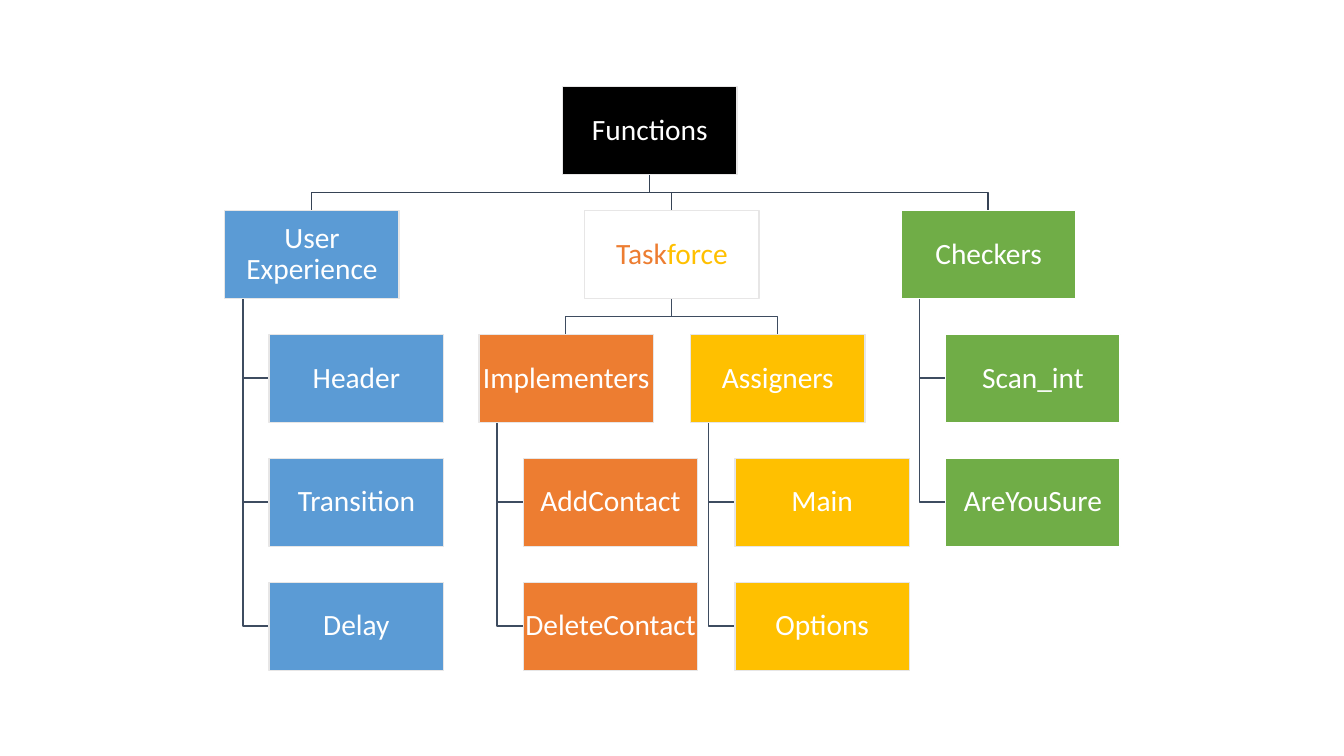
from dataclasses import dataclass, field

from pptx import Presentation
from pptx.dml.color import RGBColor
from pptx.enum.shapes import MSO_SHAPE
from pptx.enum.text import MSO_ANCHOR, PP_ALIGN
from pptx.util import Pt

EMU_PER_PX = 9144
BOX_WIDTH, BOX_HEIGHT = 173, 87
TOP, ROW_STEP = 86, 123
STEM_INSET, CHILD_INDENT = 18, 44

COLORS = {
    "black": "000000",
    "white": "FFFFFF",
    "border": "E7E6E6",
    "blue": "5B9BD5",
    "orange": "ED7D31",
    "gold": "FFC000",
    "green": "70AD47",
    "main_link": "364355",
    "link": "3E4C60",
}


@dataclass
class Node:
    runs: list
    left: int
    level: int
    fill: str
    border: str = "border"
    branches: list = field(default_factory=list)
    leaves: list = field(default_factory=list)

    @property
    def top(self):
        return TOP + ROW_STEP * self.level

    @property
    def bottom(self):
        return self.top + BOX_HEIGHT

    @property
    def center(self):
        return self.left + BOX_WIDTH // 2

    @property
    def middle(self):
        return self.top + BOX_HEIGHT // 2


def px(length):
    return length * EMU_PER_PX


def color(name):
    return RGBColor.from_string(COLORS[name])


def add_text(paragraph, text, font="Calibri", size=21, fill="white"):
    run = paragraph.add_run()
    run.text = text
    run.font.name = font
    run.font.size = Pt(size)
    run.font.color.rgb = color(fill)


def column(title, left, level, fill, leaf_titles, border="border"):
    leaves = [
        Node([(leaf_title, "white")], left + CHILD_INDENT, level + row, fill, border)
        for row, leaf_title in enumerate(leaf_titles, 1)
    ]
    return Node([(title, "white")], left, level, fill, border, leaves=leaves)


class ChartSlide:
    def __init__(self, slide, line_width=1):
        self.slide = slide
        self.line_width = Pt(line_width)

    def outline(self, shape, line_color):
        shape.shadow.inherit = False
        shape.line.color.rgb = color(line_color)
        shape.line.width = self.line_width

    def link(self, points, line_color):
        start, *rest = [(px(x), px(y)) for x, y in points]
        builder = self.slide.shapes.build_freeform(*start)
        builder.add_line_segments(rest, close=False)
        shape = builder.convert_to_shape()
        shape.fill.background()
        self.outline(shape, line_color)

    def box(self, node):
        shape = self.slide.shapes.add_shape(
            MSO_SHAPE.RECTANGLE, px(node.left), px(node.top), px(BOX_WIDTH), px(BOX_HEIGHT)
        )
        shape.fill.solid()
        shape.fill.fore_color.rgb = color(node.fill)
        self.outline(shape, node.border)
        frame = shape.text_frame
        frame.word_wrap = True
        frame.vertical_anchor = MSO_ANCHOR.MIDDLE
        frame.margin_left = frame.margin_right = px(1)
        frame.margin_top = frame.margin_bottom = px(1)
        paragraph = frame.paragraphs[0]
        paragraph.alignment = PP_ALIGN.CENTER
        paragraph.line_spacing = 0.9
        paragraph.space_after = Pt(7.35)
        for text, fill in node.runs:
            add_text(paragraph, text, fill=fill)

    def links(self, node):
        for branch in node.branches:
            bend = (node.bottom + branch.top) // 2
            self.link(
                [(node.center, node.bottom), (node.center, bend),
                 (branch.center, bend), (branch.center, branch.top)],
                "link" if node.level else "main_link",
            )
            self.links(branch)
        stem = node.left + STEM_INSET
        for leaf in node.leaves:
            self.link(
                [(stem, node.bottom), (stem, leaf.middle), (leaf.left, leaf.middle)], "link"
            )

    def boxes(self, node):
        self.box(node)
        for child in node.branches + node.leaves:
            self.boxes(child)


def main():
    presentation = Presentation()
    presentation.slide_width, presentation.slide_height = px(1333), px(750)
    chart = ChartSlide(presentation.slides.add_slide(presentation.slide_layouts[6]))

    taskforce = Node(
        [("Task", "orange"), ("force", "gold")], 580, 2 - 1, "white",
        branches=[
            column("Implementers", 475, 2, "orange", ["AddContact", "DeleteContact"]),
            column("Assigners", 685, 2, "gold", ["Main", "Options"]),
        ],
    )
    functions = Node(
        [("Functions", "white")], 558, 0, "black",
        branches=[
            column("User Experience", 223, 1, "blue", ["Header", "Transition", "Delay"]),
            taskforce,
            column("Checkers", 894, 1, "green", ["Scan_int", "AreYouSure"], border="white"),
        ],
    )
    chart.links(functions)
    chart.boxes(functions)
    presentation.save("out.pptx")


if __name__ == "__main__":
    main()
